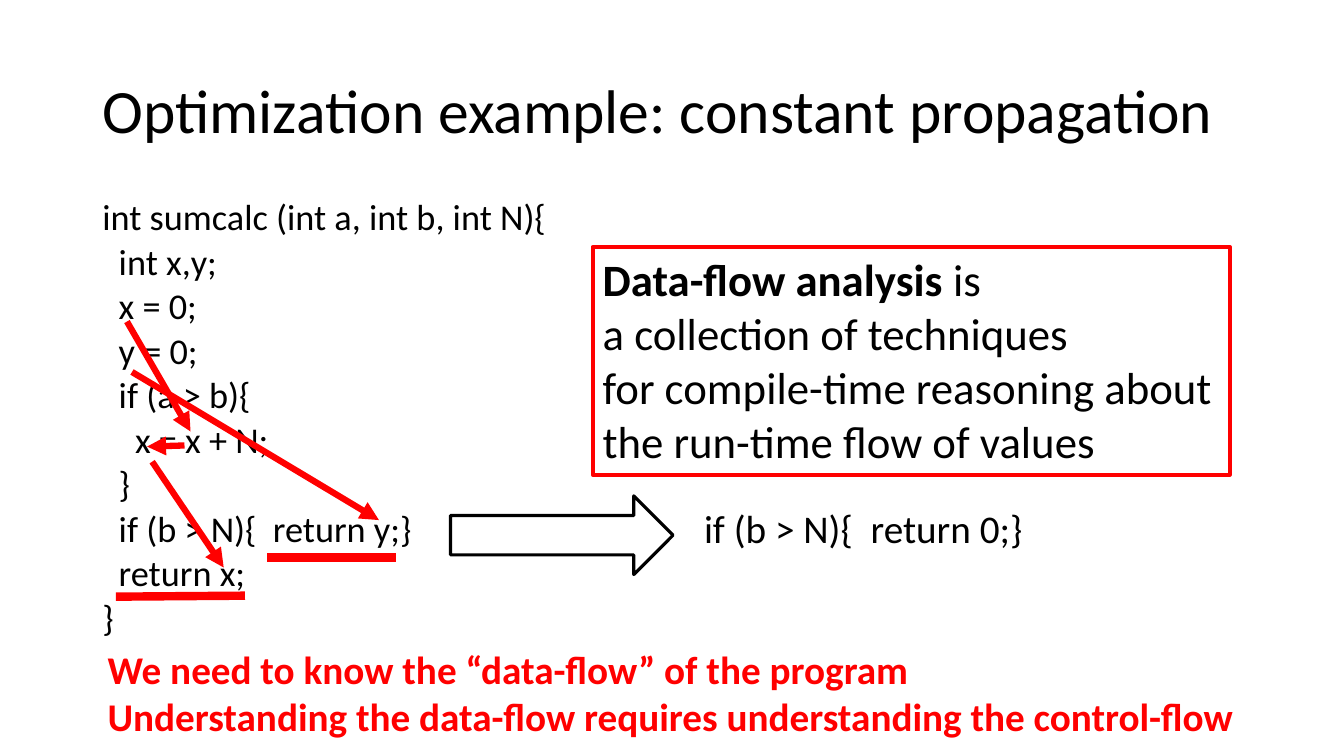
from lxml import etree
from pptx import Presentation
from pptx.dml.color import RGBColor
from pptx.enum.shapes import MSO_CONNECTOR, MSO_SHAPE
from pptx.enum.text import MSO_ANCHOR, PP_ALIGN
from pptx.oxml.ns import qn
from pptx.util import Pt

BLACK = RGBColor(0, 0, 0)
WHITE = RGBColor(255, 255, 255)
RED = RGBColor(255, 0, 0)
LINE = MSO_CONNECTOR.STRAIGHT
RECT = MSO_SHAPE.RECTANGLE
ARROW = MSO_SHAPE.RIGHT_ARROW
LEFT = PP_ALIGN.LEFT
TOP = MSO_ANCHOR.TOP
MIDDLE = MSO_ANCHOR.MIDDLE
FONT = "Calibri"
STEP = 11.7

CODE = [
    (0, "int sumcalc (int a, int b, int N){"),
    (1, "int x,y;"),
    (1, "x = 0;"),
    (1, "y = 0;"),
    (1, "if (a > b){"),
    (2, "x = x + N;"),
    (1, "}"),
    (1, "if (b > N){  return y;}"),
    (1, "return x;"),
    (0, "}"),
]
FLOWS = [
    (24.7, 85.7, 70.1, 164.2),
    (65.8, 174.2, 39.1, 175),
    (42.7, 185.8, 93.8, 261.4),
    (28.3, 121.7, 204.7, 227.5),
]
RULES = [(16.8, 282.2, 109, 281.5), (124.8, 254.2, 217, 254.2)]
CLAIMS = [
    "We need to know the “data-flow” of the program",
    "Understanding the data-flow requires understanding the control-flow",
]
TERMS = [
    "is",
    "a collection of techniques",
    "for compile-time reasoning about",
    "the run-time flow of values",
]


def style(para, size, color=BLACK, bold=False, space=None, before=0):
    """Set the font and spacing of a paragraph."""
    para.alignment = LEFT
    para.font.name = FONT
    para.font.size = Pt(size)
    para.font.color.rgb = color
    para.font.bold = bold
    para.line_spacing = space
    para.space_before = Pt(before)


def write(slide, box, lines, size, **look):
    """Place a text box of (indent in points, text) lines."""
    frame = slide.shapes.add_textbox(*map(Pt, box)).text_frame
    frame.word_wrap = True
    for row, (indent, text) in enumerate(lines):
        para = frame.add_paragraph() if row else frame.paragraphs[0]
        para.text = text
        style(para, size, **look)
        para._p.get_or_add_pPr().set("marL", str(Pt(indent)))


def stroke(slide, ends, width, head=False):
    """Draw a red line, with an arrowhead if asked."""
    line = slide.shapes.add_connector(LINE, *map(Pt, ends))
    line.line.color.rgb = RED
    line.line.width = Pt(width)
    if head:
        etree.SubElement(line.line._get_or_add_ln(), qn("a:tailEnd"), type="triangle")
    etree.SubElement(line._element.spPr, qn("a:effectLst"))


def title(slide, box):
    """Fill and place the slide title."""
    shape = slide.shapes.title
    shape.left, shape.top, shape.width, shape.height = map(Pt, box)
    frame = shape.text_frame
    frame.text = "Optimization example: constant propagation"
    frame.vertical_anchor = MIDDLE
    style(frame.paragraphs[0], 44, space=0.9)


def code(slide, box):
    """Write the code and mark its flow of values."""
    lines = [(level * STEP, text) for level, text in CODE]
    write(slide, box, lines, 25.9, space=0.7, before=10)
    left, top = box[:2]
    for marks, width, head in ((FLOWS, 4.5, True), (RULES, 6, False)):
        for x1, y1, x2, y2 in marks:
            stroke(slide, (left + x1, top + y1, left + x2, top + y2), width, head)


def result(slide, box):
    """Draw the block arrow and the simplified code beside it."""
    left, top, width, height = box
    arrow = slide.shapes.add_shape(ARROW, Pt(left), Pt(top), Pt(159), Pt(height))
    arrow.shadow.inherit = False
    arrow.fill.solid()
    arrow.fill.fore_color.rgb = WHITE
    arrow.line.color.rgb = BLACK
    arrow.line.width = Pt(2.25)
    area = (left + 161.3, top + 6.5, width - 161.3, 49.7)
    write(slide, area, [(12.7, "if (b > N){  return 0;}")], 28, space=0.9, before=10)


def define(slide, box):
    """Draw the framed definition of data-flow analysis."""
    shape = slide.shapes.add_shape(RECT, *map(Pt, box))
    shape.shadow.inherit = False
    shape.fill.background()
    shape.line.color.rgb = RED
    shape.line.width = Pt(3)
    frame = shape.text_frame
    frame.word_wrap = False
    frame.vertical_anchor = TOP
    para = frame.paragraphs[0]
    style(para, 32)
    lead = para.add_run()
    lead.text = "Data-flow analysis "
    lead.font.bold = True
    for row, text in enumerate(TERMS):
        if row:
            para.add_line_break()
        para.add_run().text = text


def main():
    """Build and save the slide."""
    deck = Presentation()
    deck.slide_width, deck.slide_height = Pt(960), Pt(540)
    slide = deck.slides.add_slide(deck.slide_layouts[5])
    title(slide, (66, 28.8, 828, 104.4))
    code(slide, (66, 144, 405.6, 342.7))
    result(slide, (321.8, 354.2, 473, 56.2))
    write(slide, (69.8, 457.2, 846.7, 74.9), [(0, text) for text in CLAIMS],
          28, color=RED, bold=True)
    define(slide, (423.4, 176.4, 455, 162.7))
    deck.save("out.pptx")


if __name__ == "__main__":
    main()
